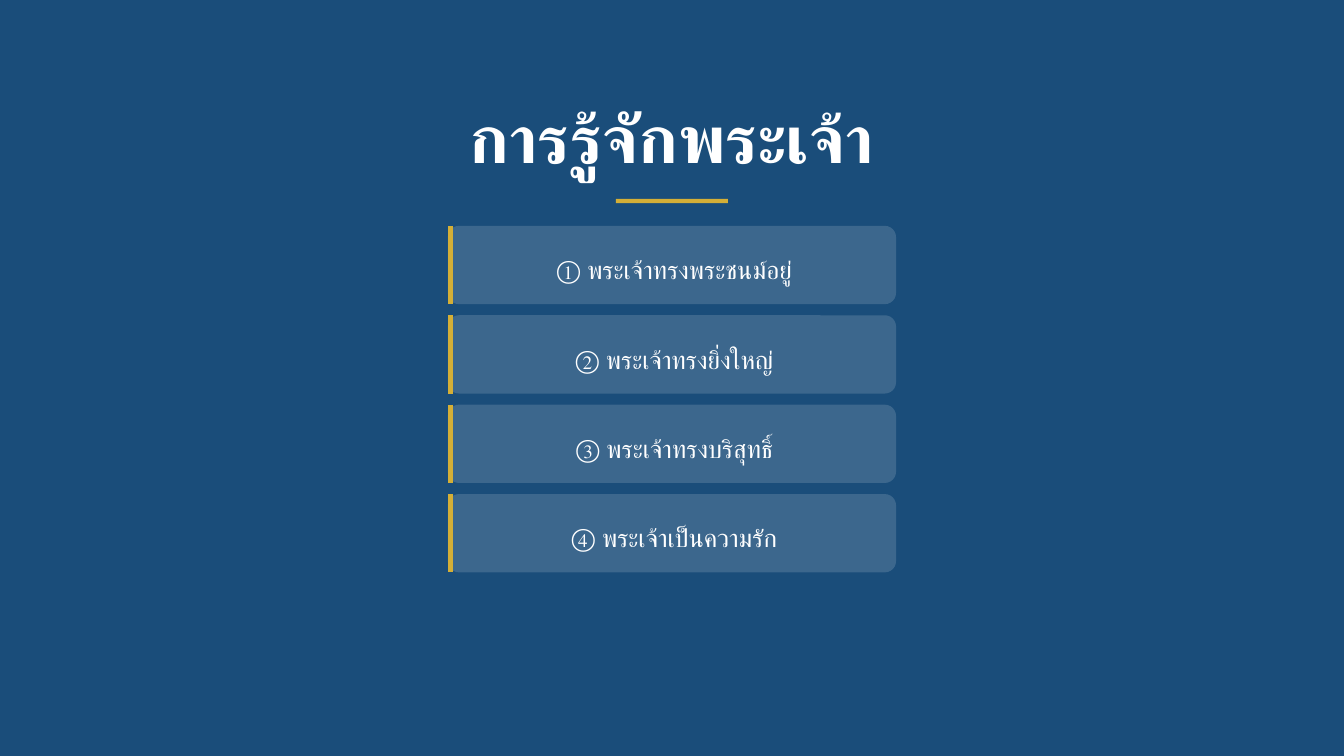
"""Build a title slide with four numbered cards."""
from lxml import etree
from pptx import Presentation
from pptx.dml.color import RGBColor
from pptx.enum import shapes as kinds, text as t
from pptx.oxml import ns
from pptx.util import Cm, Pt

TITLE = "การรู้จักพระเจ้า"
CARDS = [
    "① พระเจ้าทรงพระชนม์อยู่",
    "② พระเจ้าทรงยิ่งใหญ่",
    "③ พระเจ้าทรงบริสุทธิ์",
    "④ พระเจ้าเป็นความรัก",
]
NAVY = RGBColor(0x1A, 0x4D, 0x7A)
GOLD = RGBColor(0xD4, 0xAF, 0x37)
WHITE = RGBColor(0xFF, 0xFF, 0xFF)
WIDE, HIGH = 25.4, 14.29
CARD_W, CARD_H, TOP, STEP = 8.47, 1.48, 4.27, 1.69
LEFT = (WIDE - CARD_W) / 2


def add_text(slide, box, words, font, size, lead, bold=None):
    frame = slide.shapes.add_textbox(*map(Cm, box)).text_frame
    frame.word_wrap = True
    frame.margin_left = frame.margin_right = 0
    frame.margin_top = frame.margin_bottom = 0
    para = frame.paragraphs[0]
    para.alignment = t.PP_ALIGN.CENTER
    para.line_spacing = Pt(lead)
    run = para.add_run()
    run.text = words
    run.font.name, run.font.size, run.font.bold = font, Pt(size), bold
    run.font.color.rgb = WHITE
    etree.SubElement(run.font._element, ns.qn("a:cs"), typeface=font)


def add_block(slide, kind, box, color):
    block = slide.shapes.add_shape(kind, *map(Cm, box))
    block.shadow.inherit = False
    block.fill.solid()
    block.fill.fore_color.rgb = color
    block.line.fill.background()
    return block


def add_card(slide, top, words):
    card = add_block(slide, kinds.MSO_SHAPE.ROUNDED_RECTANGLE,
                     (LEFT, top, CARD_W, CARD_H), WHITE)
    card.adjustments[0] = 0.143
    color = card._element.spPr.find(".//" + ns.qn("a:srgbClr"))
    etree.SubElement(color, ns.qn("a:alpha"), val="15000")
    edge = LEFT + 0.05
    bar = slide.shapes.add_connector(
        kinds.MSO_CONNECTOR.STRAIGHT, Cm(edge), Cm(top), Cm(edge), Cm(top + CARD_H))
    bar.line.color.rgb = GOLD
    bar.line.width = Pt(3)
    etree.SubElement(bar._element.spPr, ns.qn("a:effectLst"))
    add_text(slide, (9.14, top + 0.37, 7.21, 0.74), words, "Arial", 13.5, 21)


def main():
    deck = Presentation()
    deck.slide_width, deck.slide_height = Cm(WIDE), Cm(HIGH)
    slide = deck.slides.add_slide(deck.slide_layouts[6])
    slide.background.fill.solid()
    slide.background.fill.fore_color.rgb = NAVY
    add_text(slide, (8.39, 2.08, 8.62, 1.27), TITLE, "TeX Gyre Schola", 36, 36, True)
    add_block(slide, kinds.MSO_SHAPE.RECTANGLE, (11.64, 3.76, 2.12, 0.08), GOLD)
    for row, words in enumerate(CARDS):
        add_card(slide, TOP + row * STEP, words)
    deck.save("out.pptx")


if __name__ == "__main__":
    main()
